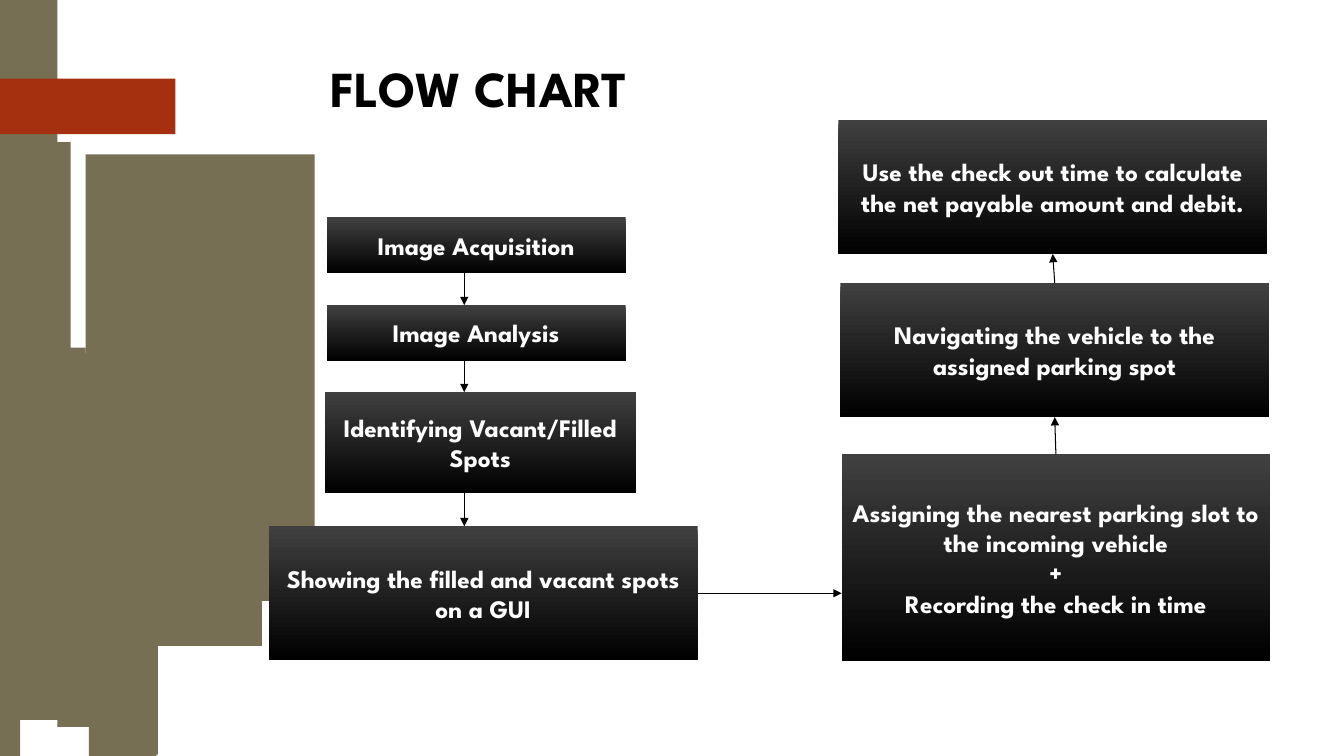
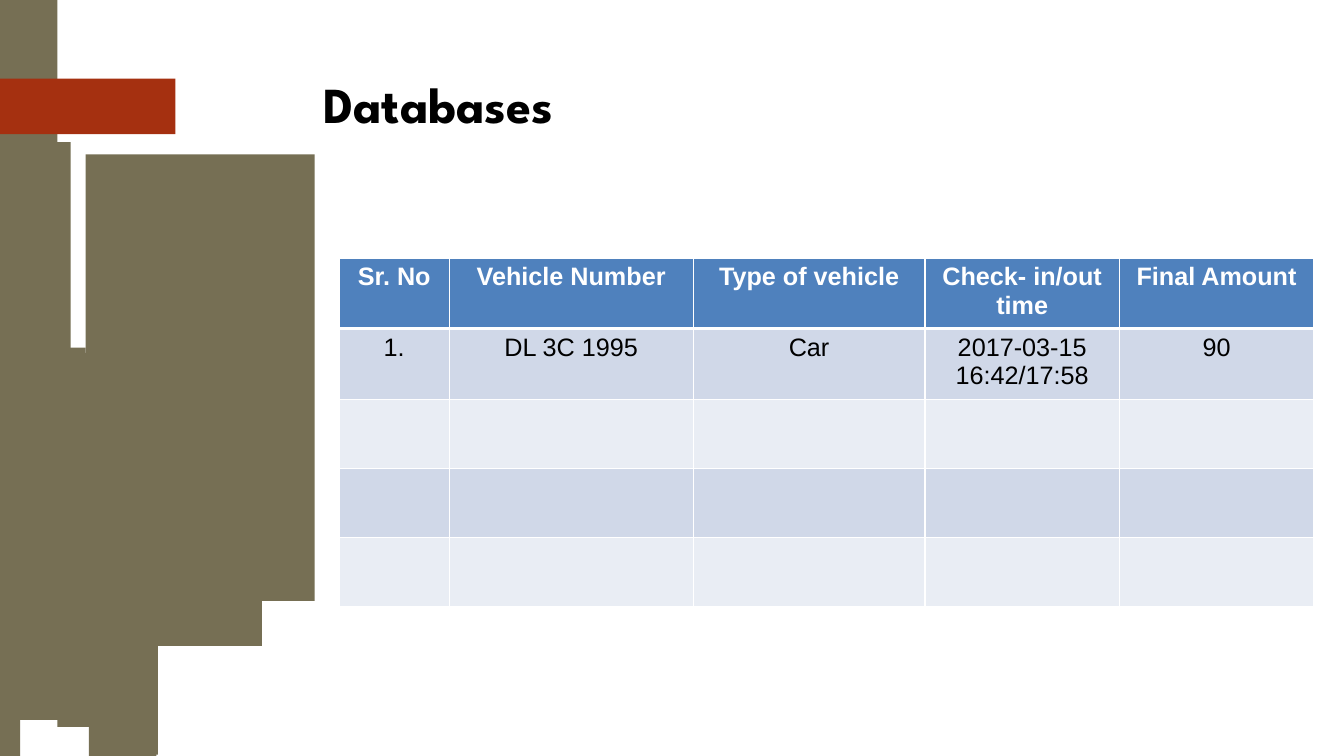
from dataclasses import dataclass

from lxml import etree
from pptx import Presentation
from pptx.dml.color import RGBColor
from pptx.enum.shapes import MSO_CONNECTOR, MSO_SHAPE
from pptx.enum.text import MSO_ANCHOR, PP_ALIGN
from pptx.oxml.ns import qn
from pptx.util import Cm, Pt

RECTANGLE = MSO_SHAPE.RECTANGLE
STRAIGHT = MSO_CONNECTOR.STRAIGHT
MIDDLE = MSO_ANCHOR.MIDDLE
CENTER = PP_ALIGN.CENTER
TOP, LEFT, BOTTOM, RIGHT = range(4)


@dataclass(frozen=True)
class Theme:
    olive: str = "766F54"
    red: str = "A53010"
    black: str = "000000"
    charcoal: str = "404040"
    white: str = "FFFFFF"
    header: str = "4F81BD"
    odd_row: str = "D0D8E8"
    even_row: str = "E9EDF4"
    display_font: str = "League Spartan"
    table_font: str = "Arial"
    title_size: int = 36
    body_size: int = 18
    arrow_width: float = 0.75
    border: int = 1
    header_border: int = 3


THEME = Theme()
SKYLINE = [
    (0, 7.16, 0.28, 1.73), (0.36, 8.76, 1.8, 6.45), (2.24, 15.14, 1.7, 3.91),
    (2.67, 18.06, 0.48, 0.99), (0.28, 8.89, 2.29, 9.25), (2.16, 3.89, 5.77, 11.25),
    (2.57, 18.14, 0.46, 0.91), (2.36, 17.35, 0.66, 1.7), (0.08, 0, 1.37, 12.22),
    (1.52, 11.99, 1.17, 4.39), (2.79, 16.28, 1.19, 2.74), (1.45, 12.12, 1.52, 6.2),
    (1.3, 3.58, 0.48, 8.41), (3.1, 18.26, 0.38, 0.79), (1.4, 11.4, 0.23, 1.42),
    (2.69, 8.74, 3.91, 7.54), (2.97, 18.34, 0.33, 0.71), (2.69, 16.38, 0.38, 1.88),
    (2.69, 16.03, 0.1, 0.64), (2.79, 17.55, 0.58, 1.47), (0, 0, 0.51, 19.05),
]
RED_BAND = (0, 1.98, 4.42, 1.4)

LEFT_STEPS = [
    ("Image Acquisition", (1.45, 2.46, 7.54, 1.4)),
    ("Image Analysis", (1.45, 4.67, 7.54, 1.4)),
    ("Identifying Vacant/Filled Spots", (1.4, 6.86, 7.85, 2.54)),
    ("Showing the filled and vacant spots on a GUI", (0, 10.24, 10.8, 3.38)),
]
RIGHT_STEPS = [
    ("Assigning the nearest parking slot to the incoming vehicle\n+\n"
     "Recording the check in time", (14.43, 8.43, 10.8, 5.21)),
    ("Navigating the vehicle to the assigned parking spot", (14.4, 4.11, 10.8, 3.38)),
    ("Use the check out time to calculate the net payable amount and debit.",
     (14.35, 0, 10.8, 3.38)),
]
LEFT_ARROW_X = 4.92

COLUMN_WIDTHS = [2.77, 6.15, 5.84, 4.9, 4.9]
RECORDS = [
    ["Sr. No", "Vehicle Number", "Type of vehicle", "Check- in/out time", "Final Amount"],
    ["1.", "DL 3C 1995", "Car", "2017-03-15\n16:42/17:58", "90"],
    [""] * 5,
    [""] * 5,
    [""] * 5,
]


def rgb(color):
    return RGBColor.from_string(color)


def lengths(box):
    return [Cm(value) for value in box]


def write(frame, text, font, size, color, bold=True, align=None):
    paragraph = frame.paragraphs[0]
    paragraph.alignment = align
    for index, line in enumerate(text.split("\n")):
        if index:
            paragraph.add_line_break()
        run = paragraph.add_run()
        run.text = line
        run.font.name = font
        run.font.size = Pt(size)
        run.font.bold = bold
        run.font.color.rgb = rgb(color)


def add_block(slide, box):
    block = slide.shapes.add_shape(RECTANGLE, *lengths(box))
    block.shadow.inherit = False
    block.line.fill.background()
    return block


def add_backdrop(slide):
    bands = [(box, THEME.olive) for box in SKYLINE] + [(RED_BAND, THEME.red)]
    for box, color in bands:
        band = add_block(slide, box)
        band.fill.solid()
        band.fill.fore_color.rgb = rgb(color)


def add_title(slide, box, text):
    frame = slide.shapes.add_textbox(*lengths(box)).text_frame
    frame.word_wrap = True
    write(frame, text, THEME.display_font, THEME.title_size, THEME.black)


def add_step(slide, box, text):
    step = add_block(slide, box)
    step.fill.gradient()
    step.fill.gradient_angle = 270
    for stop, color in zip(step.fill.gradient_stops, (THEME.charcoal, THEME.black)):
        stop.color.rgb = rgb(color)
    frame = step.text_frame
    frame.word_wrap = True
    frame.vertical_anchor = MIDDLE
    write(frame, text, THEME.display_font, THEME.body_size, THEME.white, align=CENTER)
    return step


def add_arrow(slide, start, end):
    arrow = slide.shapes.add_connector(STRAIGHT, *start, *end)
    arrow.line.color.rgb = rgb(THEME.black)
    arrow.line.width = Pt(THEME.arrow_width)
    etree.SubElement(arrow.line._get_or_add_ln(), qn("a:tailEnd"), type="triangle")
    etree.SubElement(arrow._element.spPr, qn("a:effectLst"))
    return arrow


def add_flow_chart(slide, box):
    left, top = box[:2]

    def place_steps(steps):
        return [add_step(slide, (left + x, top + y, width, height), text)
                for text, (x, y, width, height) in steps]

    detection = place_steps(LEFT_STEPS)
    parking = place_steps(RIGHT_STEPS)

    arrow_x = Cm(left + LEFT_ARROW_X)
    for upper, lower in zip(detection, detection[1:]):
        add_arrow(slide, (arrow_x, upper.top + upper.height), (arrow_x, lower.top))

    display, assignment = detection[-1], parking[0]
    display_y = display.top + display.height // 2
    handover = add_arrow(slide, (display.left + display.width, display_y),
                         (assignment.left, display_y))
    handover.begin_connect(display, RIGHT)

    for lower, upper in zip(parking, parking[1:]):
        rise = add_arrow(slide, (lower.left, lower.top), (upper.left, upper.top))
        rise.begin_connect(lower, TOP)
        rise.end_connect(upper, BOTTOM)


def set_borders(cell, widths):
    properties = cell._tc.get_or_add_tcPr()
    for index, (side, width) in enumerate(widths.items()):
        border = etree.Element(qn(f"a:ln{side}"), w=str(Pt(width)))
        fill = etree.SubElement(border, qn("a:solidFill"))
        etree.SubElement(fill, qn("a:srgbClr"), val=THEME.white)
        properties.insert(index, border)


def add_records(slide, box):
    table = slide.shapes.add_table(len(RECORDS), len(COLUMN_WIDTHS), *lengths(box)).table
    for column, width in zip(table.columns, COLUMN_WIDTHS):
        column.width = Cm(width)
    for row_index, record in enumerate(RECORDS):
        table.rows[row_index].height = Cm(box[3] / len(RECORDS))
        is_header = row_index == 0
        row_fill = THEME.odd_row if row_index % 2 else THEME.even_row
        widths = {
            "L": THEME.border,
            "R": THEME.border,
            "T": THEME.header_border if row_index == 1 else THEME.border,
            "B": THEME.header_border if is_header else THEME.border,
        }
        for column_index, text in enumerate(record):
            cell = table.cell(row_index, column_index)
            cell.fill.solid()
            cell.fill.fore_color.rgb = rgb(THEME.header if is_header else row_fill)
            set_borders(cell, widths)
            if text:
                write(cell.text_frame, text, THEME.table_font, THEME.body_size,
                      THEME.white if is_header else THEME.black, is_header, CENTER)


def add_slide(prs, title, title_box, add_content, content_box):
    slide = prs.slides.add_slide(prs.slide_layouts[6])
    add_backdrop(slide)
    add_title(slide, title_box, title)
    add_content(slide, content_box)


def main():
    prs = Presentation()
    prs.slide_width, prs.slide_height = Cm(33.87), Cm(19.05)
    add_slide(prs, "FLOW CHART", (8.08, 1.32, 9.25, 2.64),
              add_flow_chart, (6.78, 3.02, 25.23, 13.64))
    add_slide(prs, "Databases", (7.9, 1.73, 11.68, 2.24),
              add_records, (8.55, 6.5, 24.56, 8.7))
    prs.save("out.pptx")


if __name__ == "__main__":
    main()
